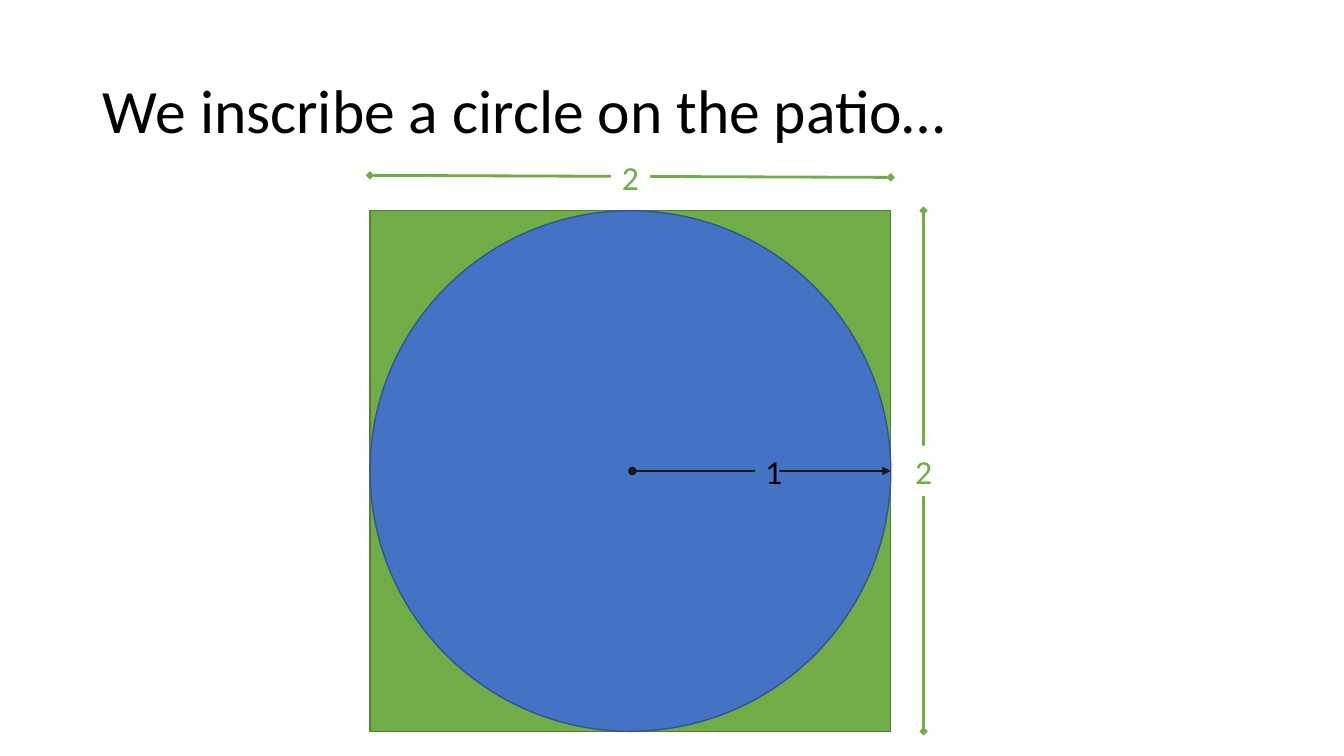
from lxml import etree
from pptx import Presentation, util as u
from pptx.dml.color import RGBColor
from pptx.enum import shapes, text
from pptx.oxml.ns import qn

COLORS = {"patio": "70AD47", "patio_edge": "538035", "circle": "4472C4",
          "circle_edge": "325491", "radius": "181717", "ink": "000000", "paper": "FFFFFF"}


def assign(target, values):
    """Set every attribute named in the dict of values."""
    for name, value in values.items():
        setattr(target, name, value)


class Sketch:
    """Hold the style and the current slide, measured in grid cells of a tenth of an inch."""

    def __init__(self, deck, font="Calibri", cell=0.1):
        """Add a title-only slide to the deck."""
        self.slide = deck.slides.add_slide(deck.slide_layouts[5])
        self.font, self.cell = font, cell

    def span(self, *cells):
        """Turn counts of columns and rows into lengths."""
        return [u.Inches(count * self.cell) for count in cells]

    def color(self, name):
        """Look up a named colour."""
        return RGBColor.from_string(COLORS[name])

    def letter(self, frame, words, size, color, align, **layout):
        """Put one formatted paragraph in a text frame."""
        assign(frame, {"word_wrap": True, "auto_size": text.MSO_AUTO_SIZE.NONE,
                       "vertical_anchor": text.MSO_ANCHOR.MIDDLE})
        paragraph = frame.paragraphs[0]
        assign(paragraph, {"alignment": align, **layout})
        run = paragraph.add_run()
        run.text = words
        assign(run.font, {"size": u.Pt(size), "name": self.font})
        run.font.color.rgb = self.color(color)

    def title(self, words, *box):
        """Move and fill the title placeholder."""
        heading = self.slide.shapes.title
        assign(heading, dict(zip(("left", "top", "width", "height"), self.span(*box))))
        self.letter(heading.text_frame, words, 44, "ink", text.PP_ALIGN.LEFT, line_spacing=0.9)

    def shape(self, kind, box, fill, edge=None):
        """Draw a filled preset shape, outlined if an edge colour is given."""
        figure = self.slide.shapes.add_shape(kind, *self.span(*box))
        figure.shadow.inherit = False
        figure.fill.solid()
        figure.fill.fore_color.rgb = self.color(fill)
        if edge:
            figure.line.color.rgb = self.color(edge)
            figure.line.width = u.Pt(1)
        else:
            figure.line.fill.background()
        return figure

    def label(self, words, center, width, fill, color):
        """Center a measurement over its line."""
        x, y = center
        height = 5
        box = (x - width / 2, y - height / 2, width, height)
        patch = self.shape(shapes.MSO_SHAPE.RECTANGLE, box, fill)
        self.letter(patch.text_frame, words, 24, color, text.PP_ALIGN.CENTER)

    def measure(self, start, end, color, head, tail):
        """Draw a measuring line with a marker at each end."""
        rule = self.slide.shapes.add_connector(
            shapes.MSO_CONNECTOR.STRAIGHT, *self.span(*start, *end))
        rule.line.color.rgb = self.color(color)
        rule.line.width = u.Pt(2)
        stroke = rule.line._get_or_add_ln()
        for tag, marker in (("a:headEnd", head), ("a:tailEnd", tail)):
            etree.SubElement(stroke, qn(tag), type=marker)
        etree.SubElement(rule._element.spPr, qn("a:effectLst"))


deck = Presentation()
assign(deck, {"slide_width": u.Inches(13.33), "slide_height": u.Inches(7.5)})
sketch = Sketch(deck)

side, left, top = 51.65, 36.7, 20.9
right, bottom = left + side, top + side
middle_x, middle_y = left + side / 2, top + side / 2
patio = (left, top, side, side)
width_y, height_x = 17.5, right + 3.25

sketch.title("We inscribe a circle on the patio…", 9.2, 4, 115, 14.5)
sketch.shape(shapes.MSO_SHAPE.RECTANGLE, patio, "patio", "patio_edge")
sketch.measure((left, width_y - 0.1), (right, width_y + 0.1), "patio", "diamond", "diamond")
sketch.measure((height_x, top), (height_x, bottom), "patio", "diamond", "diamond")
for center in ((middle_x, width_y + 0.1), (height_x, middle_y)):
    sketch.label("2", center, 3.9, "paper", "patio")
sketch.shape(shapes.MSO_SHAPE.OVAL, patio, "circle", "circle_edge")
sketch.measure((middle_x + 0.2, middle_y), (right, middle_y), "radius", "oval", "triangle")
sketch.label("1", (76.1, middle_y), 2.4, "circle", "ink")

deck.save("out.pptx")
